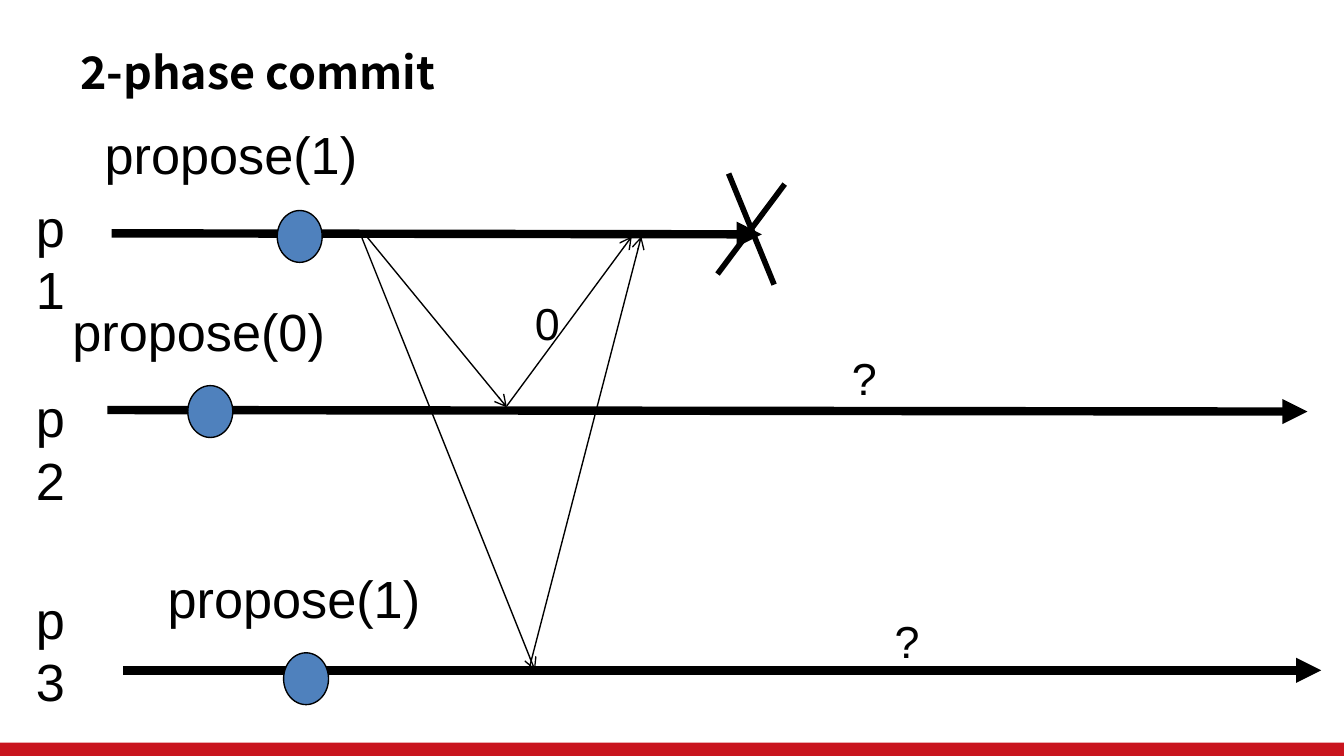
"""Draw a timeline of a two-phase commit with three processes."""
from lxml import etree
from pptx import Presentation
from pptx import util as u
from pptx.dml.color import RGBColor
from pptx.enum import shapes, text
from pptx.oxml.ns import qn

HUES = {"ink": "000000", "dot": "4F81BD", "bar": "C9151E"}


def tint(name):
    """Return the named colour."""
    return RGBColor.from_string(HUES[name])


def label(slide, words, left, top, width, height, size=28, face="Arial", bold=False):
    """Add a text box with one run of text."""
    box = slide.shapes.add_textbox(u.Cm(left), u.Cm(top), u.Cm(width), u.Cm(height))
    frame = box.text_frame
    frame.word_wrap = True
    frame.text = words
    font = frame.paragraphs[0].runs[0].font
    font.size, font.name, font.bold = u.Pt(size), face, bold
    font.color.rgb = tint("ink")
    return frame


def solid(slide, kind, left, top, width, height, hue):
    """Add a filled shape without an outline or shadow."""
    form = slide.shapes.add_shape(kind, u.Cm(left), u.Cm(top), u.Cm(width), u.Cm(height))
    form.shadow.inherit = False
    form.fill.solid()
    form.fill.fore_color.rgb = tint(hue)
    form.line.fill.background()
    return form


def event(slide, left, top):
    """Mark a proposal with an outlined dot."""
    dot = solid(slide, shapes.MSO_SHAPE.OVAL, left, top, 0.85, 0.98, "dot")
    dot.line.color.rgb = tint("ink")
    dot.line.width = u.Pt(0.75)


def stroke(slide, start, end, width, head=None):
    """Add a straight line, with an arrowhead if one is named."""
    ends = [u.Cm(n) for n in (*start, *end)]
    line = slide.shapes.add_connector(shapes.MSO_CONNECTOR.STRAIGHT, *ends)
    line.line.color.rgb = tint("ink")
    line.line.width = u.Pt(width)
    if head:
        etree.SubElement(line.line._get_or_add_ln(), qn("a:tailEnd"), type=head)
    etree.SubElement(line._element.spPr, qn("a:effectLst"))


def process(slide, name, top, start, end, value, place, dot):
    """Draw one process with its name, time axis and proposal."""
    stroke(slide, start, end, 4.5, "triangle")
    label(slide, name, 0.43, top, 1.5, 1.45)
    label(slide, f"propose({value})", *place, 7.8, 1.45)
    event(slide, *dot)


def main():
    """Build and save the slide."""
    deck = Presentation()
    deck.slide_width, deck.slide_height = u.Cm(25.4), u.Cm(14.29)
    slide = deck.slides.add_slide(deck.slide_layouts[6])

    solid(slide, shapes.MSO_SHAPE.RECTANGLE, 0, 14.04, 25.4, 0.25, "bar")
    title = label(slide, "2-phase commit", 1.27, 0.74, 17.68, 1.24,
                  24, "Noto Sans CJK SC", True)
    title.vertical_anchor = text.MSO_ANCHOR.MIDDLE

    rows = [
        ("p1", 3.56, (2.11, 4.41), (14.4, 4.43), 1, (1.73, 2.18), (5.24, 3.98)),
        ("p2", 7.16, (2.03, 7.75), (24.71, 7.78), 0, (1.12, 5.54), (3.55, 7.29)),
        ("p3", 10.97, (2.33, 12.67), (24.97, 12.67), 1, (2.92, 10.57), (5.36, 12.34)),
    ]
    for row in rows:
        process(slide, *row)

    sends = [
        ((6.93, 4.47), (9.58, 7.7)),
        ((6.81, 4.42), (10.11, 12.67)),
        ((9.58, 7.67), (11.94, 4.47)),
        ((10.01, 12.6), (12.12, 4.47)),
    ]
    for start, end in sends:
        stroke(slide, start, end, 0.75, "arrow")

    for start, end in [((14.83, 3.48), (13.56, 5.18)), ((13.77, 3.28), (14.63, 5.38))]:
        stroke(slide, start, end, 3)

    for words, left, top in [("0", 9.86, 5.46), ("?", 15.85, 6.5), ("?", 16.66, 11.48)]:
        label(slide, words, left, top, 1, 1.02, 24)

    deck.save("out.pptx")


if __name__ == "__main__":
    main()
